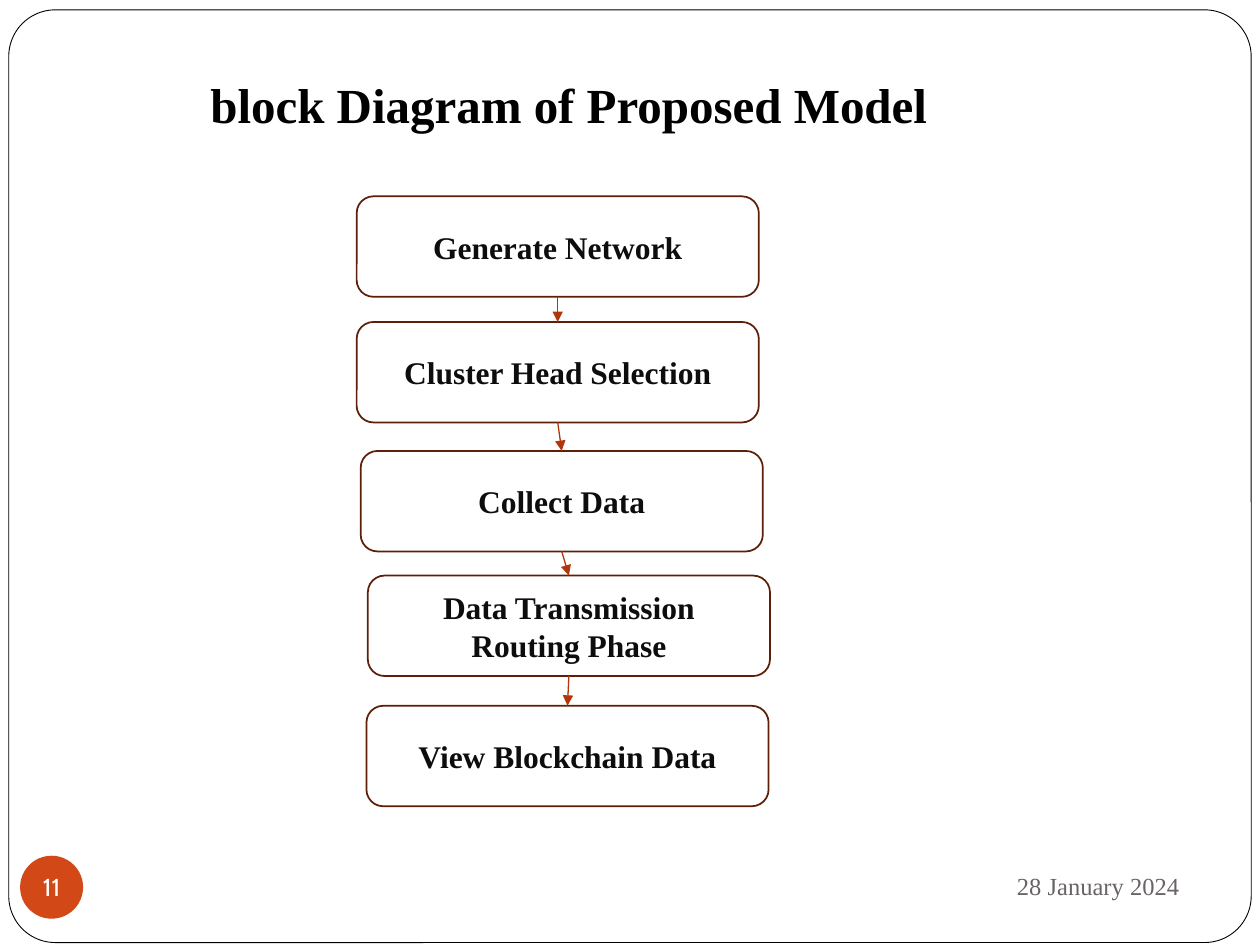
from itertools import pairwise

from lxml import etree
from pptx import Presentation
from pptx import util as u
from pptx.dml.color import RGBColor
from pptx.enum import shapes, text
from pptx.oxml import ns

Pt = u.Pt


def color(value):
    return RGBColor.from_string(value)


class SlideBuilder:
    font = "Times New Roman"
    outline = "5C200A"
    arrow_color = "B1360B"
    accent = "D34817"
    dark = "0D0D0D"
    gray = "696464"

    def __init__(self, slide):
        self.slide = slide

    def label(self, shape, content, size, ink, align, bold=False, font=None):
        frame = shape.text_frame
        frame.text = content
        frame.word_wrap = True
        frame.vertical_anchor = text.MSO_ANCHOR.MIDDLE
        paragraph = frame.paragraphs[0]
        paragraph.alignment = align
        for run in paragraph.runs:
            run.font.name = font or self.font
            run.font.size = Pt(size)
            run.font.bold = bold
            run.font.color.rgb = color(ink)

    def shape(self, kind, left, top, width, height, fill=None, line=None, weight=1):
        shape = self.slide.shapes.add_shape(
            kind, Pt(left), Pt(top), Pt(width), Pt(height))
        shape.shadow.inherit = False
        if fill:
            shape.fill.solid()
            shape.fill.fore_color.rgb = color(fill)
        else:
            shape.fill.background()
        if line:
            shape.line.color.rgb = color(line)
            shape.line.width = Pt(weight)
        else:
            shape.line.fill.background()
        return shape

    def frame(self):
        frame = self.shape(shapes.MSO_SHAPE.ROUNDED_RECTANGLE,
                           5, 5.6, 710, 533, "FFFFFF", "000000", 0.5)
        frame.adjustments[0] = 0.05

    def title(self, content):
        title = self.slide.shapes.title
        title.left, title.top = Pt(106), Pt(39)
        title.width, title.height = Pt(456.5), Pt(41)
        self.label(title, content, 28, "000000", text.PP_ALIGN.LEFT, bold=True)
        title.text_frame.auto_size = text.MSO_AUTO_SIZE.NONE
        title.text_frame.vertical_anchor = text.MSO_ANCHOR.TOP
        self.slide.shapes.element.append(title.element)

    def date(self, content):
        box = self.slide.shapes.add_textbox(Pt(486), Pt(487.5), Pt(195), Pt(37.5))
        self.label(box, content, 14, self.gray, text.PP_ALIGN.RIGHT)

    def page_number(self, content):
        badge = self.shape(shapes.MSO_SHAPE.OVAL, 11.5, 489, 36, 36, self.accent)
        self.label(badge, content, 14, "FFFFFF", text.PP_ALIGN.CENTER, font="Cabin")
        frame = badge.text_frame
        frame.word_wrap = False
        frame.margin_left = frame.margin_right = 0
        frame.margin_top = frame.margin_bottom = 0

    def step(self, content, left, top):
        box = self.shape(shapes.MSO_SHAPE.ROUNDED_RECTANGLE,
                         left, top, 229.8, 57.4, line=self.outline)
        self.label(box, content, 18, self.dark, text.PP_ALIGN.CENTER, bold=True)
        return box

    def arrow(self, source, target):
        arrow = self.slide.shapes.add_connector(
            shapes.MSO_CONNECTOR.STRAIGHT, 0, 0, 0, 0)
        arrow.begin_connect(source, 2)
        arrow.end_connect(target, 0)
        arrow.line.color.rgb = color(self.arrow_color)
        arrow.line.width = Pt(0.75)
        properties = arrow.element.spPr
        line = properties.find(ns.qn("a:ln"))
        etree.SubElement(line, ns.qn("a:tailEnd"), type="triangle")
        etree.SubElement(properties, ns.qn("a:effectLst"))


def main():
    presentation = Presentation()
    presentation.slide_width, presentation.slide_height = Pt(720), Pt(540)
    slide = presentation.slides.add_slide(presentation.slide_layouts[5])
    builder = SlideBuilder(slide)

    builder.frame()
    builder.date("28 January 2024")
    builder.page_number("11")
    steps = [
        ("Generate Network", 203.8, 112.2),
        ("Cluster Head Selection", 203.8, 184),
        ("Collect Data", 206.1, 257.7),
        ("Data Transmission Routing Phase", 210.2, 328.9),
        ("View Blockchain Data", 209.4, 403.3),
    ]
    boxes = [builder.step(*step) for step in steps]
    for source, target in pairwise(boxes):
        builder.arrow(source, target)
    builder.title(" block Diagram of Proposed Model")

    presentation.save("out.pptx")


if __name__ == "__main__":
    main()
